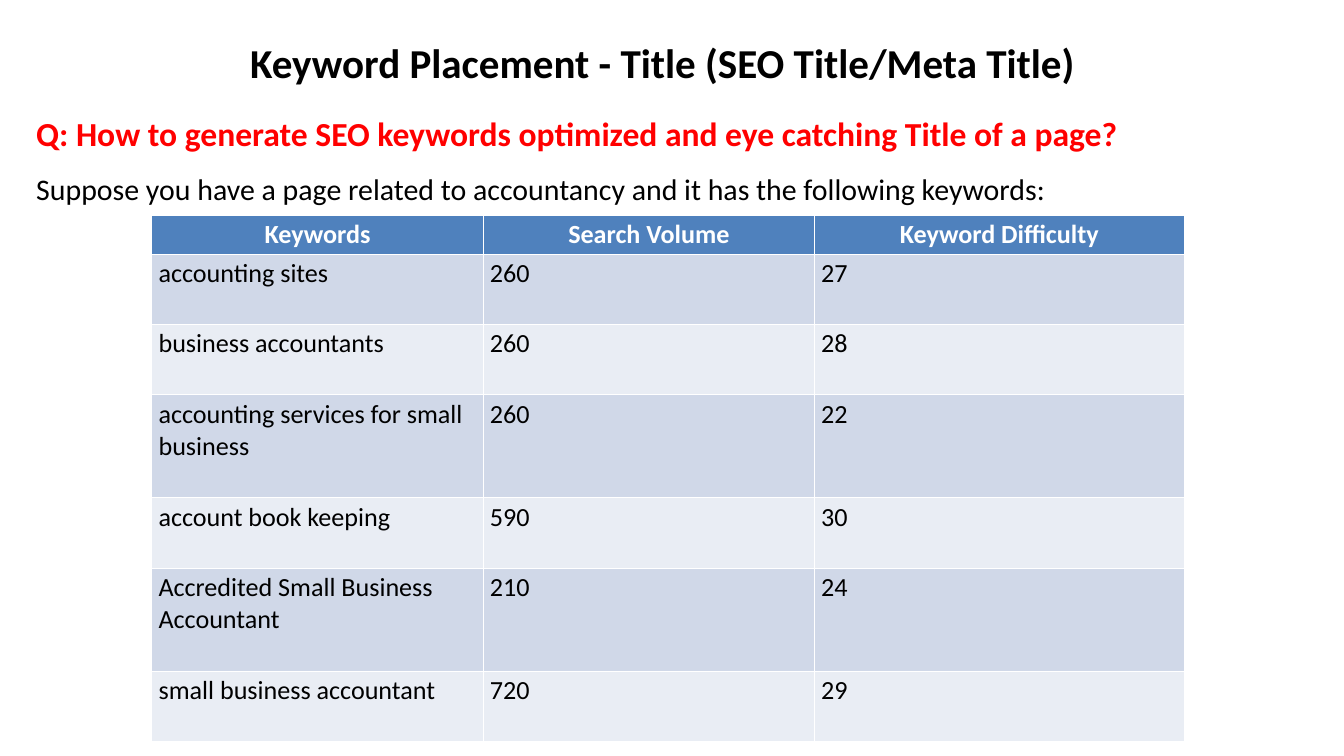
from pptx import Presentation
from pptx.dml.color import RGBColor
from pptx.enum.text import MSO_ANCHOR, PP_ALIGN
from pptx.util import Pt

BLACK = RGBColor(0x00, 0x00, 0x00)
WHITE = RGBColor(0xFF, 0xFF, 0xFF)
RED = RGBColor(0xFF, 0x00, 0x00)
HEADER_BLUE = RGBColor(0x4F, 0x81, 0xBD)
BANDS = (RGBColor(0xD0, 0xD8, 0xE8), RGBColor(0xE9, 0xED, 0xF4))

TITLE = dict(size=Pt(44), bold=True)
QUESTION = dict(size=Pt(36), bold=True)
INTRO = dict(size=Pt(32), bold=False)
HEADING = dict(size=Pt(28), bold=True)
ENTRY = dict(size=Pt(28), bold=False)

HEADINGS = ("Keywords", "Search Volume", "Keyword Difficulty")
KEYWORDS = (
    ("accounting sites", 260, 27),
    ("business accountants", 260, 28),
    ("accounting services for small business", 260, 22),
    ("account book keeping", 590, 30),
    ("Accredited Small Business Accountant", 210, 24),
    ("small business accountant", 720, 29),
)
COLUMN_WIDTHS = (355, 355, 396)
HEADER_HEIGHT, ONE_LINE, TWO_LINES = 41, 75.5, 110.4
ROW_HEIGHTS = (HEADER_HEIGHT, ONE_LINE, ONE_LINE, TWO_LINES,
               ONE_LINE, TWO_LINES, ONE_LINE)


def write(paragraph, text, style, color, align=PP_ALIGN.LEFT):
    paragraph.alignment = align
    run = paragraph.add_run()
    run.text = text
    run.font.name = "Calibri"
    run.font.color.rgb = color
    for attribute, value in style.items():
        setattr(run.font, attribute, value)


def add_text_frame(slide, left, top, width, height, anchor):
    frame = slide.shapes.add_textbox(
        Pt(left), Pt(top), Pt(width), Pt(height)).text_frame
    frame.word_wrap = True
    frame.vertical_anchor = anchor
    return frame


def add_title(slide):
    frame = add_text_frame(slide, 36, 21.6, 1358.6, 90, MSO_ANCHOR.MIDDLE)
    write(frame.paragraphs[0],
          "Keyword Placement - Title (SEO Title/Meta Title) ",
          TITLE, BLACK, PP_ALIGN.CENTER)


def add_body(slide):
    frame = add_text_frame(slide, 31.7, 105, 1367.3, 573, MSO_ANCHOR.TOP)
    question, intro = frame.paragraphs[0], frame.add_paragraph()
    write(question,
          "Q: How to generate SEO keywords optimized and eye catching "
          "Title of a page?", QUESTION, RED)
    write(intro,
          "Suppose you have a page related to accountancy and it has the "
          "following keywords:", INTRO, BLACK)
    question.line_spacing = intro.line_spacing = 1.3
    intro.space_before = Pt(6.4)


def fill_row(cells, values, fill, style, color, align):
    for cell, value in zip(cells, values):
        cell.fill.solid()
        cell.fill.fore_color.rgb = fill
        write(cell.text_frame.paragraphs[0], str(value), style, color, align)


def add_keyword_table(slide):
    table = slide.shapes.add_table(
        len(ROW_HEIGHTS), len(COLUMN_WIDTHS), Pt(162.7), Pt(231.1),
        Pt(sum(COLUMN_WIDTHS)), Pt(sum(ROW_HEIGHTS))).table
    for column, width in zip(table.columns, COLUMN_WIDTHS):
        column.width = Pt(width)
    for row, height in zip(table.rows, ROW_HEIGHTS):
        row.height = Pt(height)

    header, *entries = table.rows
    fill_row(header.cells, HEADINGS, HEADER_BLUE, HEADING, WHITE,
             PP_ALIGN.CENTER)
    for index, (row, values) in enumerate(zip(entries, KEYWORDS)):
        fill_row(row.cells, values, BANDS[index % 2], ENTRY, BLACK,
                 PP_ALIGN.LEFT)


def main():
    deck = Presentation()
    deck.slide_width, deck.slide_height = Pt(1440), Pt(810)
    slide = deck.slides.add_slide(deck.slide_layouts[6])
    add_title(slide)
    add_body(slide)
    add_keyword_table(slide)
    deck.save("out.pptx")


if __name__ == "__main__":
    main()
